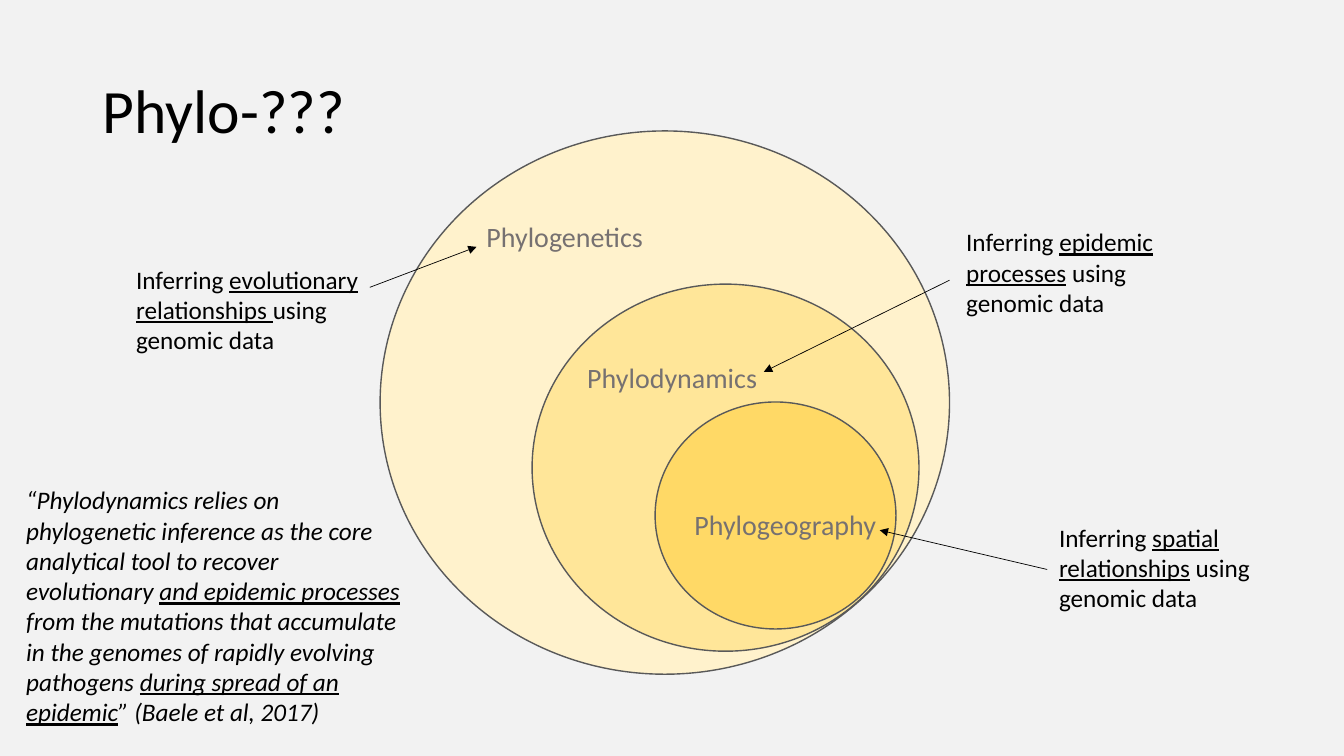
from lxml.etree import SubElement
from pptx import Presentation
from pptx.dml.color import RGBColor
from pptx.enum.shapes import MSO_CONNECTOR, MSO_SHAPE
from pptx.enum.text import MSO_ANCHOR
from pptx.oxml.ns import qn
from pptx.util import Cm, Pt

BACKGROUND = RGBColor(0xF2, 0xF2, 0xF2)
BLACK = RGBColor(0x00, 0x00, 0x00)
OUTLINE = RGBColor(0x59, 0x59, 0x59)
LABEL_GREY = RGBColor(0x76, 0x71, 0x71)
PALE_YELLOW = RGBColor(0xFF, 0xF2, 0xCC)
LIGHT_YELLOW = RGBColor(0xFF, 0xE6, 0x99)
GOLD = RGBColor(0xFF, 0xD9, 0x66)

TITLE_FORMAT = {"name": "Calibri", "size": Pt(44)}
LABEL_FORMAT = {"name": "Calibri", "size": Pt(20)}
NOTE_FORMAT = {"name": "Calibri", "size": Pt(18)}
QUOTE_FORMAT = {**NOTE_FORMAT, "italic": True}

DIAGRAM_BOX = (9.58, 3.3, 14.35, 13.69)
FIELDS = [
    ("Phylogenetics", PALE_YELLOW, (0, 0, 14.35, 13.69), (2.43, 2.11, 4.5, 1.12)),
    ("Phylodynamics", LIGHT_YELLOW, (3.83, 3.86, 9.75, 9.25), (4.97, 5.67, 4.83, 1.12)),
    ("Phylogeography", GOLD, (6.93, 6.83, 6.07, 5.72), (7.67, 9.37, 5.13, 1.12)),
]
NOTES = [
    ((3.18, 6.53, 6.4, 2.57), "evolutionary relationships ", "using genomic data",
     (6.14, 0.71), (8.83, -0.31)),
    ((24.1, 5.59, 5.84, 2.57), "epidemic processes", " using genomic data",
     (-0.17, 1.47), (-4.85, 3.78)),
    ((26.44, 13.03, 5.84, 2.57), "spatial relationships", " using genomic data",
     (-0.05, 1.32), (-4.27, 0.33)),
]
QUOTE = [
    ("“Phylodynamics relies on phylogenetic inference as the core analytical tool "
     "to recover evolutionary ", False),
    ("and epidemic processes ", True),
    ("from the mutations that accumulate in the genomes of rapidly evolving pathogens ", False),
    ("during spread of an epidemic", True),
    ("” (Baele et al, 2017)", False),
]


def place(box, offset):
    return box[0] + offset[0], box[1] + offset[1], *offset[2:]


def lengths(values):
    return [Cm(value) for value in values]


def add_text(page, box, spans, formats, color=BLACK, wrap=True):
    frame = page.shapes.add_textbox(*lengths(box)).text_frame
    frame.word_wrap = wrap
    para = frame.paragraphs[0]
    for text, underlined in spans:
        span = para.add_run()
        span.text = text
        for attribute, value in formats.items():
            setattr(span.font, attribute, value)
        span.font.underline = underlined
        span.font.color.rgb = color
    return frame


def add_title(page, box):
    frame = add_text(page, box, [("Phylo-???", False)], TITLE_FORMAT)
    frame.vertical_anchor = MSO_ANCHOR.MIDDLE
    frame.paragraphs[0].line_spacing = 0.9


def add_diagram(page, box):
    for name, color, ellipse_box, label_box in FIELDS:
        ellipse = page.shapes.add_shape(MSO_SHAPE.OVAL, *lengths(place(box, ellipse_box)))
        ellipse.shadow.inherit = False
        ellipse.fill.solid()
        ellipse.fill.fore_color.rgb = color
        ellipse.line.color.rgb = OUTLINE
        ellipse.line.width = Pt(1)
    for name, color, ellipse_box, label_box in FIELDS:
        add_text(page, place(box, label_box), [(name, False)], LABEL_FORMAT,
                 LABEL_GREY, wrap=False)


def add_arrow(page, start, end):
    arrow = page.shapes.add_connector(MSO_CONNECTOR.STRAIGHT, *lengths(start + end))
    arrow.line.color.rgb = BLACK
    arrow.line.width = Pt(0.5)
    SubElement(arrow.line._get_or_add_ln(), qn("a:tailEnd"), type="triangle")
    SubElement(arrow._element.spPr, qn("a:effectLst"))


def add_note(page, box, topic, ending, start, end):
    spans = [("Inferring ", False), (topic, True), (ending, False)]
    add_text(page, box, spans, NOTE_FORMAT)
    add_arrow(page, place(box, start), place(box, end))


def main():
    deck = Presentation()
    deck.slide_width, deck.slide_height = Cm(33.87), Cm(19.05)
    page = deck.slides.add_slide(deck.slide_layouts[6])
    page.background.fill.solid()
    page.background.fill.fore_color.rgb = BACKGROUND
    add_title(page, (2.34, 1.02, 29.21, 3.68))
    add_diagram(page, DIAGRAM_BOX)
    for note in NOTES:
        add_note(page, *note)
    add_text(page, (0.41, 12.09, 10.19, 6.4), QUOTE, QUOTE_FORMAT)
    deck.save("out.pptx")


if __name__ == "__main__":
    main()
